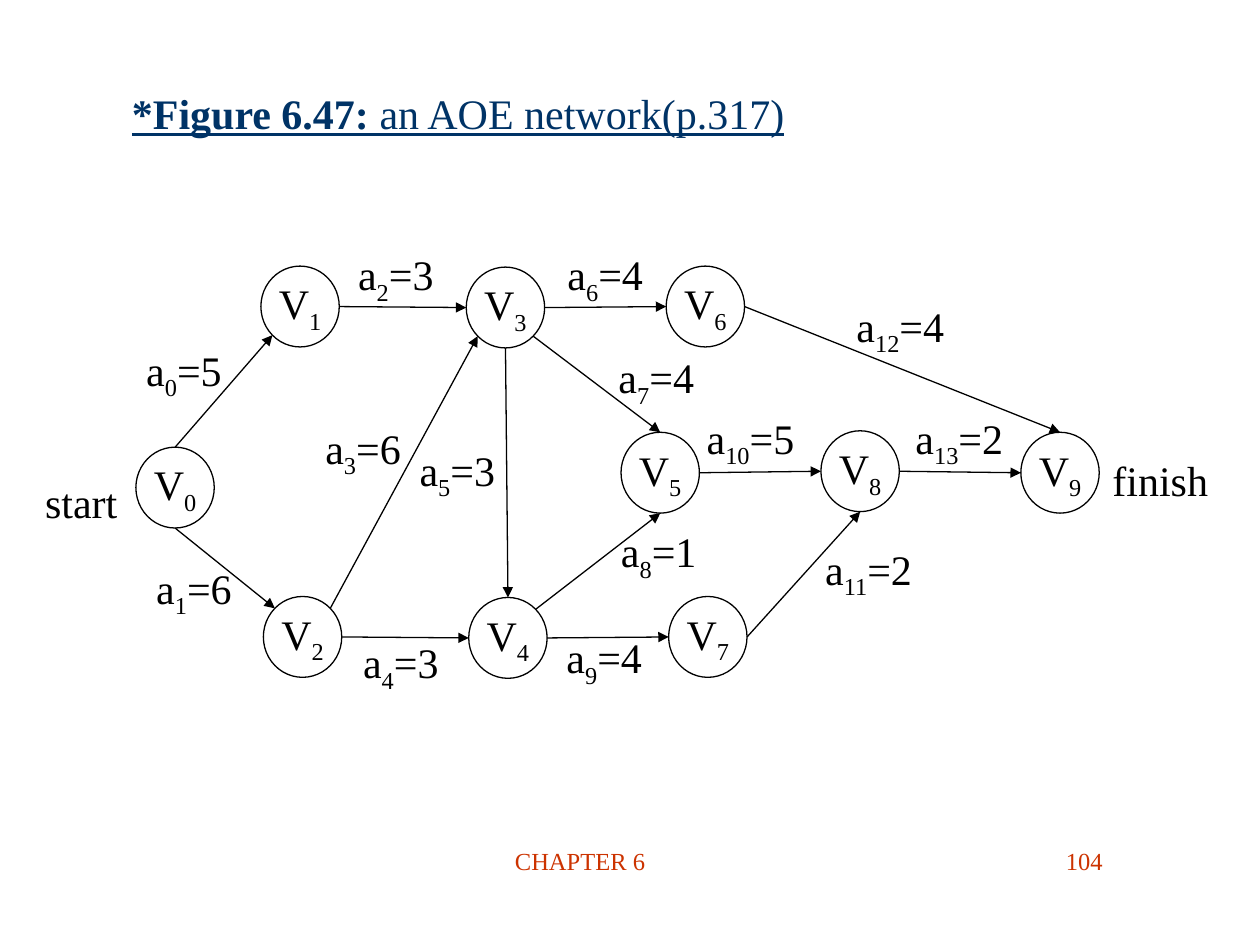
from math import sqrt

from lxml import etree
from pptx import Presentation
from pptx import util as u
from pptx.dml.color import RGBColor
from pptx.enum import shapes, text
from pptx.oxml.ns import qn

BLACK = RGBColor(0x00, 0x00, 0x00)
WHITE = RGBColor(0xFF, 0xFF, 0xFF)
NAVY = RGBColor(0x00, 0x33, 0x66)
RUST = RGBColor(0xCC, 0x33, 0x00)
FONT = "Times New Roman"
LEFT, CENTER, RIGHT = text.PP_ALIGN.LEFT, text.PP_ALIGN.CENTER, text.PP_ALIGN.RIGHT
TOP, MIDDLE = text.MSO_ANCHOR.TOP, text.MSO_ANCHOR.MIDDLE

# All lengths are in centimetres.
NODE_W, NODE_H = 1.58, 1.63
LABEL_W, LABEL_H = 2.3, 1.42
END_W, END_H = 2.7, 1.27

# Centre of each vertex V0..V9
VERTICES = [
    (3.53, 9.83), (6.05, 6.18), (6.1, 12.84), (10.19, 6.2), (10.24, 12.86),
    (13.31, 9.53), (14.22, 6.18), (14.27, 12.84), (17.34, 9.5), (21.37, 9.53),
]

# Activities a0..a13: from vertex, side, to vertex, side, weight, label centre
ACTIVITIES = [
    (0, "N", 1, "SW", 5, (3.71, 7.52)),
    (0, "S", 2, "NW", 6, (3.91, 11.91)),
    (1, "E", 3, "W", 3, (7.98, 5.59)),
    (2, "NE", 3, "SW", 6, (7.32, 9.09)),
    (2, "E", 4, "W", 3, (8.08, 13.41)),
    (3, "S", 4, "N", 3, (9.22, 9.53)),
    (3, "E", 6, "W", 4, (12.2, 5.59)),
    (3, "SE", 5, "N", 4, (13.23, 7.67)),
    (4, "NE", 5, "S", 1, (13.28, 11.18)),
    (4, "E", 7, "W", 4, (12.18, 13.31)),
    (5, "E", 8, "W", 5, (15.13, 8.89)),
    (7, "E", 8, "S", 2, (17.51, 11.53)),
    (6, "E", 9, "N", 4, (18.15, 6.63)),
    (8, "E", 9, "W", 2, (19.34, 8.89)),
]
ENDS = [("start", (1.64, 10.11)), ("finish", (23.39, 9.68))]

# Box, alignment, anchor, runs
TITLE = ((2.41, 0.69, 21.59, 3.18), LEFT, MIDDLE, [
    ("*Figure 6.47:", {"color": NAVY, "bold": True, "underline": True}),
    (" an AOE network(p.317)", {"color": NAVY, "underline": True}),
])
FOOTER = ((7.67, 16.94, 8.05, 1.27), CENTER, TOP,
          [("CHAPTER 6", {"color": RUST, "size": 14})])
PAGE = ((17.2, 16.94, 5.28, 1.27), RIGHT, TOP,
        [("104", {"color": RUST, "size": 14})])


def write(tf, runs, align=CENTER, anchor=MIDDLE, wrap=False):
    tf.word_wrap = wrap
    tf.vertical_anchor = anchor
    p = tf.paragraphs[0]
    p.alignment = align
    for words, style in runs:
        r = p.add_run()
        r.text = words
        r.font.name = FONT
        r.font.size = u.Pt(style.get("size", 24))
        r.font.color.rgb = style.get("color", BLACK)
        r.font.bold = style.get("bold", False)
        r.font.underline = style.get("underline", False)
        if style.get("subscript"):
            r.font._element.set("baseline", "-25000")


def indexed(letter, index, rest=""):
    """Runs for a letter with a subscript number."""
    runs = [(letter, {}), (str(index), {"subscript": True})]
    return runs + [(rest, {})] if rest else runs


def centred(x, y, w, h):
    return [u.Cm(v) for v in (x - w / 2, y - h / 2, w, h)]


def add_vertex(s, index, centre):
    sp = s.shapes.add_shape(shapes.MSO_SHAPE.OVAL, *centred(*centre, NODE_W, NODE_H))
    sp.shadow.inherit = False
    sp.fill.solid()
    sp.fill.fore_color.rgb = WHITE
    sp.line.color.rgb = BLACK
    sp.line.width = u.Pt(0.75)
    write(sp.text_frame, indexed("V", index))


def rim(vertex, side):
    """Point on a vertex outline in a compass direction."""
    dx = ("E" in side) - ("W" in side)
    dy = ("S" in side) - ("N" in side)
    x, y = VERTICES[vertex]
    scale = 2 * sqrt(dx * dx + dy * dy)
    return u.Cm(x + dx * NODE_W / scale), u.Cm(y + dy * NODE_H / scale)


def add_arrow(s, start, end):
    c = s.shapes.add_connector(shapes.MSO_CONNECTOR.STRAIGHT, *start, *end)
    c.line.color.rgb = BLACK
    c.line.width = u.Pt(0.75)
    etree.SubElement(c.line._get_or_add_ln(), qn("a:tailEnd"), type="triangle")
    etree.SubElement(c._element.spPr, qn("a:effectLst"))


def add_label(s, centre, runs, w=LABEL_W, h=LABEL_H):
    sp = s.shapes.add_textbox(*centred(*centre, w, h))
    write(sp.text_frame, runs)


def main():
    prs = Presentation()
    prs.slide_width, prs.slide_height = u.Cm(25.4), u.Cm(19.05)
    s = prs.slides.add_slide(prs.slide_layouts[6])

    for box, align, anchor, runs in (TITLE, FOOTER, PAGE):
        sp = s.shapes.add_textbox(*[u.Cm(v) for v in box])
        write(sp.text_frame, runs, align, anchor, wrap=True)

    for index, centre in enumerate(VERTICES):
        add_vertex(s, index, centre)
    for index, (tail, out, head, into, weight, centre) in enumerate(ACTIVITIES):
        add_arrow(s, rim(tail, out), rim(head, into))
        add_label(s, centre, indexed("a", index, f"={weight}"))
    for word, centre in ENDS:
        add_label(s, centre, [(word, {})], END_W, END_H)

    prs.save("out.pptx")


if __name__ == "__main__":
    main()
